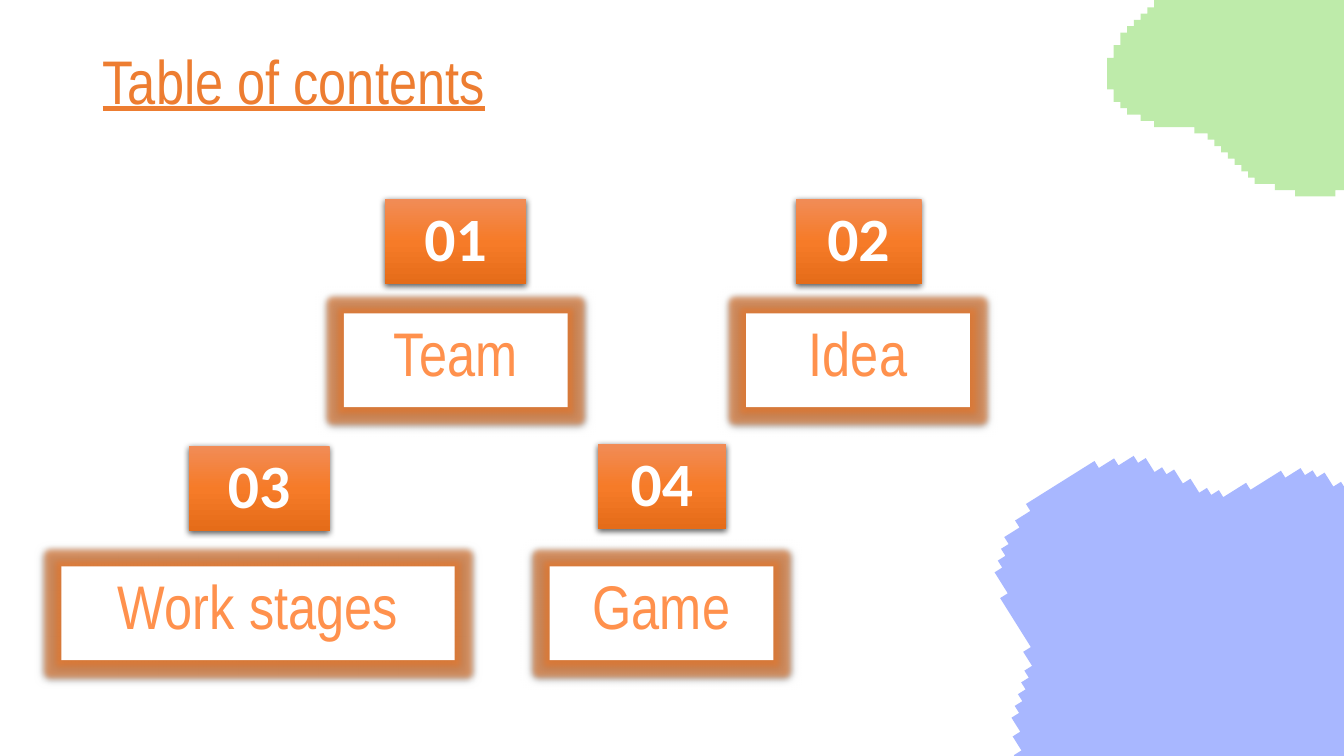
"""Builds a table of contents slide with four numbered topics and two splashes."""
from copy import deepcopy
from dataclasses import dataclass

from lxml import etree
from pptx import Presentation
from pptx import util as u
from pptx.dml.color import RGBColor
from pptx.enum import shapes, text
from pptx.oxml import ns


@dataclass(frozen=True)
class Theme:
    """Colours, fonts and type size of the slide."""
    heading: str = "ED7D31"
    label: str = "FF914D"
    white: str = "FFFFFF"
    shadow: str = "000000"
    green: str = "7ED957"
    blue: str = "5271FF"
    badge: tuple = ((0, "F18C57"), (0.5, "F67B28"), (1, "E56C19"))
    narrow: str = "Arial Narrow"
    bold_face: str = "Calibri"
    size: int = 44


SPLASH_START = 16
SPLASH_CELLS = 47
SPLASH_STEPS = (
    (9, 1), (2, 1), (2, 1), (1, 2), (1, 1), (1, 2), (1, 2), (1, 1), (1, 1),
    (3, 1), (4, 1), (2, 1), (1, 1), (1, 2), (1, 7), (-1, 2), (-1, 1), (-1, 1),
    (-1, 2), (-1, 6), (-1, 3), (-1, 2), (-1, 1), (-1, 1), (-1, 1), (-1, 1),
    (-2, 1), (-6, -1), (-3, -1), (-3, -1), *[(-1, -1)] * 7, (-2, -1),
    (-6, -1), (-2, -1), (-2, -1), (-1, -1), (-1, -2), (-1, -5), (1, -2),
    (1, -2), (1, -1), (1, -1), (1, -1), (1, -1), (1, -2), (1, -7), (1, -3),
    (1, -1), (1, -1), (1, -1), (2, -1), (2, -1),
)

TOPICS = (
    ("01", (3.82, 1.97, 1.4, 0.85), "Team", (3.41, 3.11, 2.22, 0.93)),
    ("02", (7.89, 1.97, 1.25, 0.85), "Idea", (7.4, 3.11, 2.22, 0.93)),
    ("03", (1.87, 4.42, 1.4, 0.85), "Work stages", (0.61, 5.62, 3.9, 0.93)),
    ("04", (5.93, 4.4, 1.27, 0.85), "Game", (5.45, 5.62, 2.22, 0.93)),
)


def write(frame, words, *, font, size, color, bold=False, underline=False,
          align=text.PP_ALIGN.LEFT, anchor=text.MSO_ANCHOR.TOP, inset=None):
    """Put one formatted paragraph into a text frame."""
    frame.word_wrap = True
    frame.vertical_anchor = anchor
    if inset is not None:
        frame.margin_left = frame.margin_right = u.Inches(inset)
        frame.margin_top = frame.margin_bottom = u.Inches(inset)
    line = frame.paragraphs[0]
    line.alignment = align
    line.line_spacing = 0.9
    run = line.add_run()
    run.text = words
    run.font.name = font
    run.font.size = u.Pt(size)
    run.font.bold = bold
    run.font.underline = underline
    run.font.color.rgb = RGBColor.from_string(color)


def add_color(parent, color, opacity):
    """Append a translucent colour to an XML element."""
    tint = etree.SubElement(parent, ns.qn("a:srgbClr"), val=color)
    etree.SubElement(tint, ns.qn("a:alpha"), val=str(opacity * 1000))


class ContentsSlide:
    """Draws each kind of element on one slide."""

    def __init__(self, slide, theme):
        self.slide = slide
        self.theme = theme

    def title(self, words, box):
        """Add the underlined heading."""
        heading = self.slide.shapes.add_textbox(*map(u.Inches, box))
        write(heading.text_frame, words, font=self.theme.narrow,
              size=self.theme.size, color=self.theme.heading, underline=True,
              anchor=text.MSO_ANCHOR.MIDDLE)

    def card(self, words, box, glow=False, **style):
        """Add a borderless rectangle with a soft shadow and centred words."""
        card = self.slide.shapes.add_shape(
            shapes.MSO_SHAPE.RECTANGLE, *map(u.Inches, box))
        card.line.fill.background()
        card.shadow.inherit = False
        effects = card._element.spPr.find(ns.qn("a:effectLst"))
        if glow:
            halo = etree.SubElement(effects, ns.qn("a:glow"), rad=str(u.Pt(8)))
            add_color(halo, self.theme.heading, 60)
        shade = etree.SubElement(
            effects, ns.qn("a:outerShdw"), blurRad=str(u.Pt(4.5)),
            dist=str(u.Pt(1.5)), dir="5400000", algn="ctr", rotWithShape="0")
        add_color(shade, self.theme.shadow, 63)
        write(card.text_frame, words, size=self.theme.size, inset=0.1,
              align=text.PP_ALIGN.CENTER, **style)
        return card

    def badge(self, number, box):
        """Add an orange gradient card with a number."""
        badge = self.card(number, box, font=self.theme.bold_face,
                          color=self.theme.white, bold=True)
        badge.fill.gradient()
        badge.fill.gradient_angle = 270
        stops = badge._element.spPr.find(ns.qn("a:gradFill")).gsLst
        stops.insert(1, deepcopy(stops[0]))
        for stop, (position, color) in zip(badge.fill.gradient_stops, self.theme.badge):
            stop.position = position
            stop.color.rgb = RGBColor.from_string(color)

    def label(self, words, box):
        """Add a white glowing card with a topic."""
        label = self.card(words, box, glow=True, font=self.theme.narrow,
                          color=self.theme.label)
        label.fill.solid()
        label.fill.fore_color.rgb = RGBColor.from_string(self.theme.white)

    def splash(self, box, color, rotation=0):
        """Add a half transparent splash with a stepped outline."""
        left, top, width, height = map(u.Inches, box)
        x, y = SPLASH_START, 0
        corners = []
        for across, down in SPLASH_STEPS:
            x += across
            corners.append((x, y))
            y += down
            corners.append((x, y))
        outline = self.slide.shapes.build_freeform(
            SPLASH_START, 0, scale=(width / SPLASH_CELLS, height / SPLASH_CELLS))
        outline.add_line_segments(corners, close=True)
        splash = outline.convert_to_shape(left, top)
        splash.rotation = rotation
        splash.shadow.inherit = False
        splash.line.fill.background()
        splash.fill.solid()
        splash.fill.fore_color.rgb = RGBColor.from_string(color)
        tint = splash._element.spPr.find(ns.qn("a:solidFill"))[0]
        etree.SubElement(tint, ns.qn("a:alpha"), val="50000")


def main():
    """Build and save the slide."""
    deck = Presentation()
    deck.slide_width, deck.slide_height = u.Inches(13.33), u.Inches(7.5)
    theme = Theme()
    contents = ContentsSlide(deck.slides.add_slide(deck.slide_layouts[6]), theme)
    contents.title("Table of contents", (0.92, 0.37, 6.37, 0.93))
    for number, number_box, topic, topic_box in TOPICS:
        contents.badge(number, number_box)
        contents.label(topic, topic_box)
    contents.splash((10.98, -0.99, 3.13, 2.94), theme.green)
    contents.splash((9.67, 4.35, 4.19, 3.85), theme.blue, rotation=327.9)
    deck.save("out.pptx")


if __name__ == "__main__":
    main()
